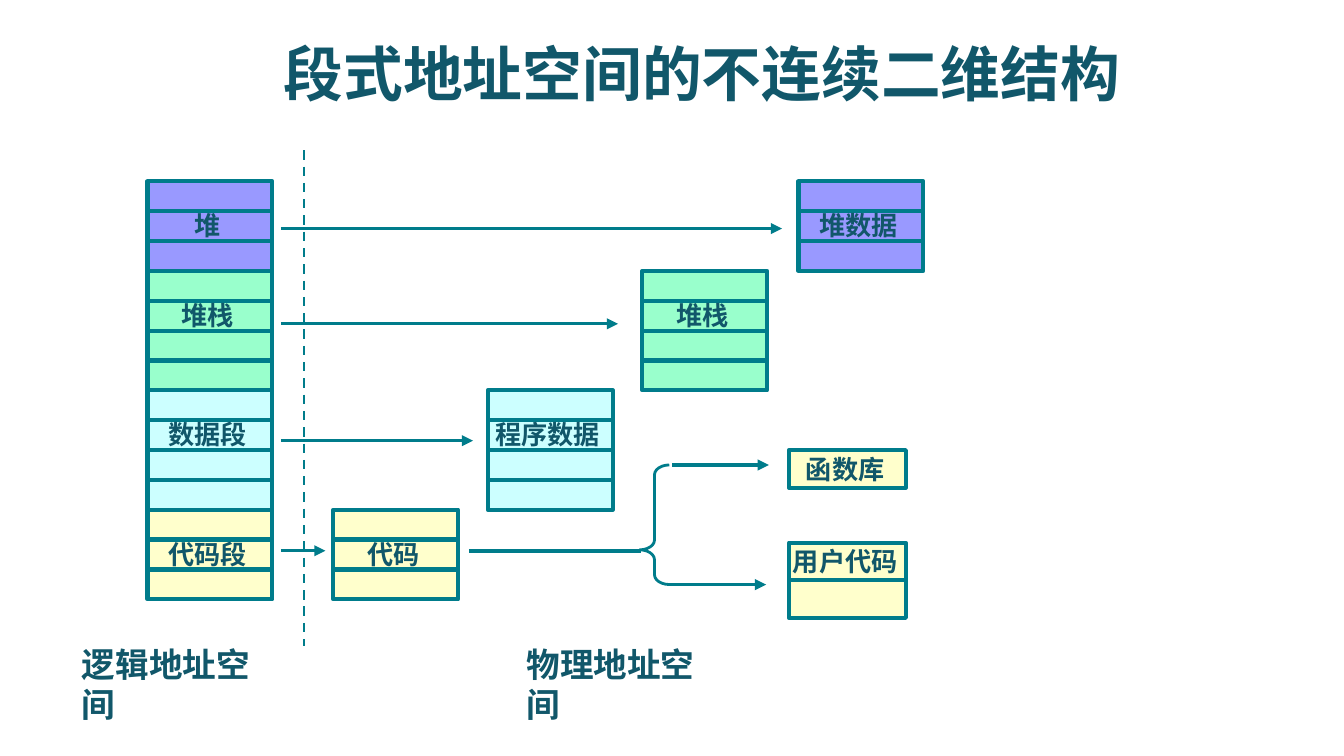
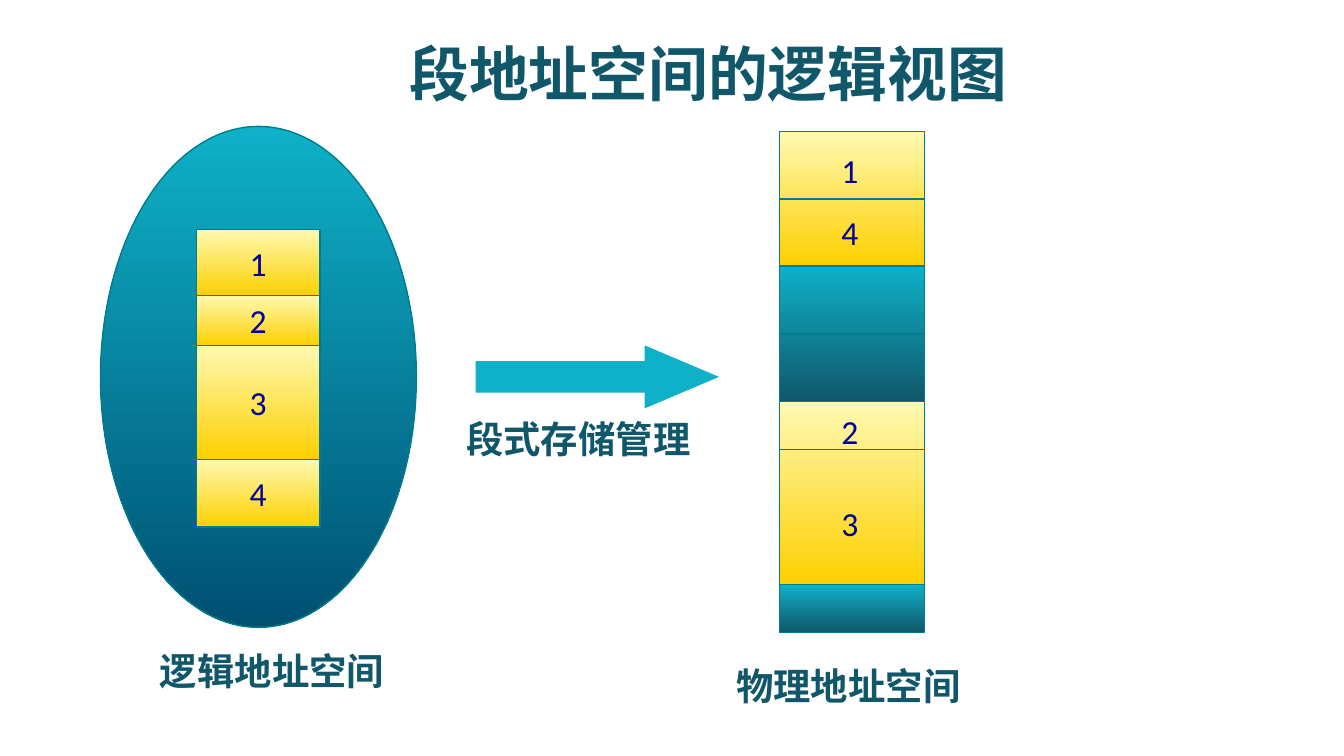
"""Build two slides on segmented address spaces."""
from lxml import etree
from pptx import Presentation
from pptx.dml.color import RGBColor
from pptx.enum.dml import MSO_LINE as Dash
from pptx.enum.shapes import MSO_CONNECTOR as Connector, MSO_SHAPE as Shape
from pptx.enum.text import MSO_ANCHOR as Anchor, MSO_AUTO_SIZE as AutoSize, PP_ALIGN as Align
from pptx.oxml.ns import qn
from pptx.util import Cm, Pt

rgb = RGBColor.from_string
CJK, LATIN = "Noto Sans CJK SC", "Calibri"
INK, TEAL, NAVY, CYAN = "11576A", "007C8B", "000099", "0EB1C8"
VIOLET, MINT, ICE, CREAM = "9999FF", "99FFCC", "CCFFFF", "FFFFCC"
GOLD, OCEAN, FREE = ("FFF9B1", "FDD000"), (CYAN, "005072"), (CYAN, INK)


def draw(slide, kind, box, fill=None, line=None, width=0.75):
    """Add a preset shape; a pair of colours makes a vertical gradient."""
    shape = slide.shapes.add_shape(kind, *map(Cm, box))
    shape.shadow.inherit = False
    if isinstance(fill, tuple):
        shape.fill.gradient()
        shape.fill.gradient_angle = 270
        for stop, position, colour in zip(shape.fill.gradient_stops, (0, 1), fill):
            stop.position, stop.color.rgb = position, rgb(colour)
    elif fill:
        shape.fill.solid()
        shape.fill.fore_color.rgb = rgb(fill)
    else:
        shape.fill.background()
    if line:
        shape.line.color.rgb, shape.line.width = rgb(line), Pt(width)
    else:
        shape.line.fill.background()
    return shape


def write(shape, text, size=14, font=CJK, colour=INK, bold=True, align=Align.LEFT,
          anchor=Anchor.TOP, wrap=True, fit=AutoSize.SHAPE_TO_FIT_TEXT, spacing=None, before=None):
    """Put one formatted line of text into a shape."""
    frame = shape.text_frame
    frame.word_wrap, frame.auto_size, frame.vertical_anchor = wrap, fit, anchor
    paragraph = frame.paragraphs[0]
    paragraph.alignment, paragraph.line_spacing = align, spacing
    if before:
        paragraph.space_before = Pt(before)
    run = paragraph.add_run()
    run.text = text
    run.font.size, run.font.bold, run.font.name = Pt(size), bold, font
    run.font.color.rgb = rgb(colour)
    etree.SubElement(run._r.get_or_add_rPr(), qn("a:ea"), typeface=font)


prs = Presentation()
prs.slide_width, prs.slide_height = Cm(25.4), Cm(14.29)
structure, view = (prs.slides.add_slide(prs.slide_layouts[6]) for _ in range(2))

title = dict(size=32)
label = dict(align=Align.CENTER, spacing=0.9)
space_name = dict(size=18)
digit = dict(size=18, font=LATIN, colour=NAVY, bold=False, align=Align.CENTER,
             anchor=Anchor.MIDDLE, wrap=False)
caption = dict(size=20, align=Align.CENTER, anchor=Anchor.MIDDLE, wrap=False, before=15)
texts = [
    (structure, "段式地址空间的不连续二维结构", (5.11, 0.58, 20.8, 1.63), title),
    (structure, "逻辑地址空间", (1.3, 12.04, 3.81, 0.89), space_name),
    (structure, "物理地址空间", (9.7, 12.04, 3.81, 0.89), space_name),
    (structure, "函数库", (14.68, 8.51, 2.59, 0.81), label),
    (structure, "用户代码", (14.68, 10.26, 2.59, 0.79), label),
    (view, "段地址空间的逻辑视图", (7.49, 0.58, 16.21, 1.63), title),
    (view, "逻辑地址空间", (2.72, 12.12, 4.85, 1.12), caption),
    (view, "物理地址空间", (13.61, 12.4, 4.85, 1.12), caption),
    (view, "段式存储管理", (8.56, 7.75, 6.35, 1.12), dict(size=20)),
]

stack_top, row, segment_width = 3.43, 7.9 / 14, 2.36
logical_left = 2.79
segments = [
    ("堆", "堆数据", 3, VIOLET, 15.09),
    ("堆栈", "堆栈", 4, MINT, 12.14),
    ("数据段", "程序数据", 4, ICE, 9.22),
    ("代码段", "代码", 3, CREAM, 6.3),
]
top = stack_top
for logical, physical, rows, colour, physical_left in segments:
    for name, left in ((logical, logical_left), (physical, physical_left)):
        draw(structure, Shape.RECTANGLE, (left, top, segment_width, rows * row), colour)
        for i in range(rows):
            draw(structure, Shape.RECTANGLE, (left, top + i * row, segment_width, row),
                 line=TEAL, width=2.25)
        texts.append((structure, name, (left - 0.16, top + row - 0.09, 2.59, 0.79), label))
    top += rows * row

for top in (8.51, 10.26, 10.97):
    draw(structure, Shape.RECTANGLE, (14.91, top, 2.21, 0.71), CREAM, TEAL, 2.25)
fork = draw(structure, Shape.LEFT_BRACE, (12.09, 8.79, 0.56, 2.26), line=TEAL, width=1.5)
fork.adjustments[0], fork.adjustments[1] = 0.33, 0.71

draw(view, Shape.OVAL, (1.9, 2.39, 5.97, 9.47), OCEAN, TEAL)
top = 4.34
for number, height in zip("1234", (1.25, 0.94, 2.16, 1.27)):
    block = draw(view, Shape.RECTANGLE, (3.71, top, 2.34, height), GOLD, TEAL)
    write(block, number, **{**digit, "fit": AutoSize.NONE})
    top += height

memory_left, memory_width = 14.73, 2.74
top = 2.49
for height, colours in ((2.54, GOLD), (2.56, FREE), (3.46, GOLD), (0.91, FREE)):
    draw(view, Shape.RECTANGLE, (memory_left, top, memory_width, height), colours, TEAL)
    top += height
for number, top in (("1", 2.77), ("4", 3.94), ("2", 7.7), ("3", 9.45)):
    texts.append((view, number, (15.65, top, 0.74, 0.89), {**digit, "before": 11.2}))

mapping = draw(view, Shape.RIGHT_ARROW, (8.99, 6.53, 4.6, 1.19), CYAN)
mapping.adjustments[0], mapping.adjustments[1] = 0.5, 1.18

links = [
    (structure, 5.31, 4.32, 14.78, 4.32, 1.5, "arrow"),
    (structure, 5.31, 6.12, 11.68, 6.12, 1.5, "arrow"),
    (structure, 5.31, 8.33, 8.94, 8.33, 1.5, "arrow"),
    (structure, 5.31, 10.41, 6.15, 10.41, 1.5, "arrow"),
    (structure, 12.65, 11.05, 14.48, 11.05, 2, "arrow"),
    (structure, 12.7, 8.79, 14.53, 8.79, 2, "arrow"),
    (structure, 8.86, 10.41, 12.12, 10.41, 2, "plain"),
    (structure, 5.74, 2.84, 5.74, 12.22, 1.25, "dash"),
]
for y in (3.76, 6.31, 8.5):
    links.append((view, memory_left, y, memory_left + memory_width, y, 0.75, "plain"))
for slide, x1, y1, x2, y2, width, style in links:
    link = slide.shapes.add_connector(Connector.STRAIGHT, *map(Cm, (x1, y1, x2, y2)))
    link.line.color.rgb, link.line.width = rgb(TEAL), Pt(width)
    if style == "dash":
        link.line.dash_style = Dash.DASH
    properties = link.line._get_or_add_ln()
    if style == "arrow":
        etree.SubElement(properties, qn("a:tailEnd"), type="triangle")
    etree.SubElement(properties.getparent(), qn("a:effectLst"))

for slide, text, box, style in texts:
    write(slide.shapes.add_textbox(*map(Cm, box)), text, **style)

prs.save("out.pptx")
